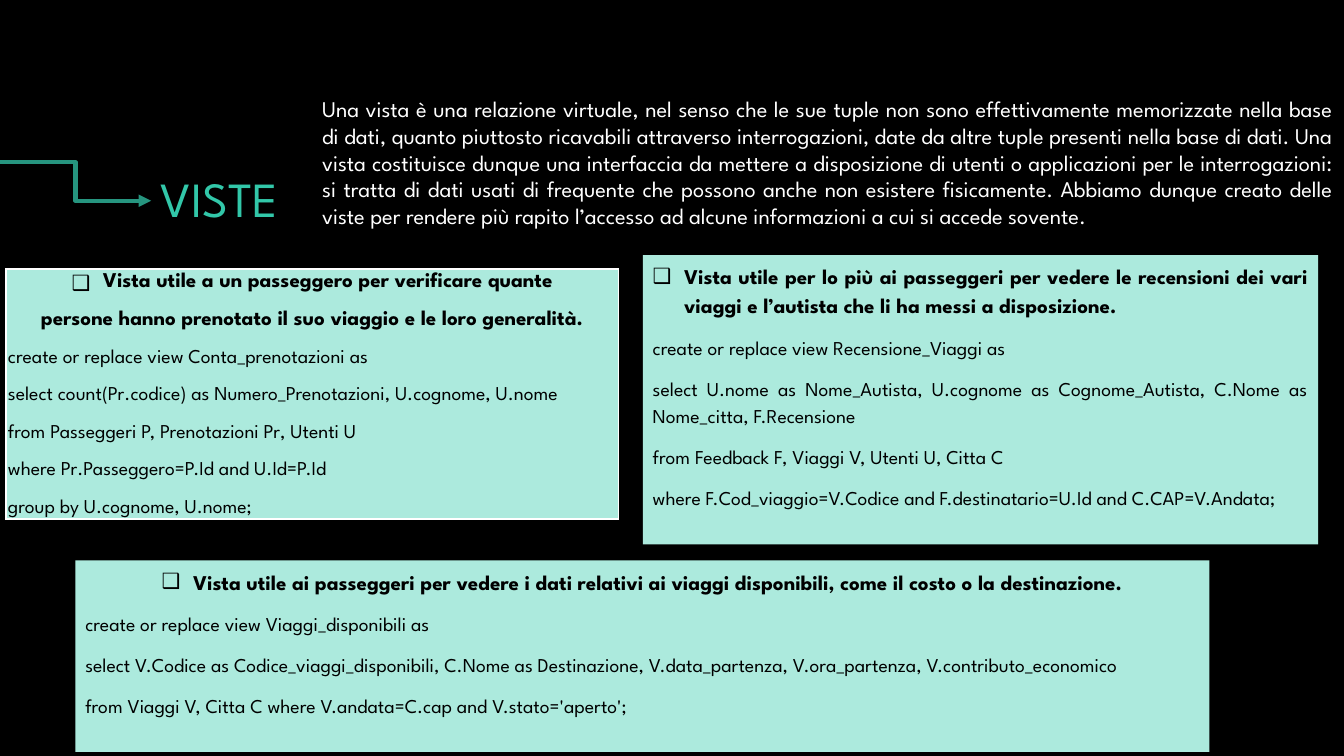
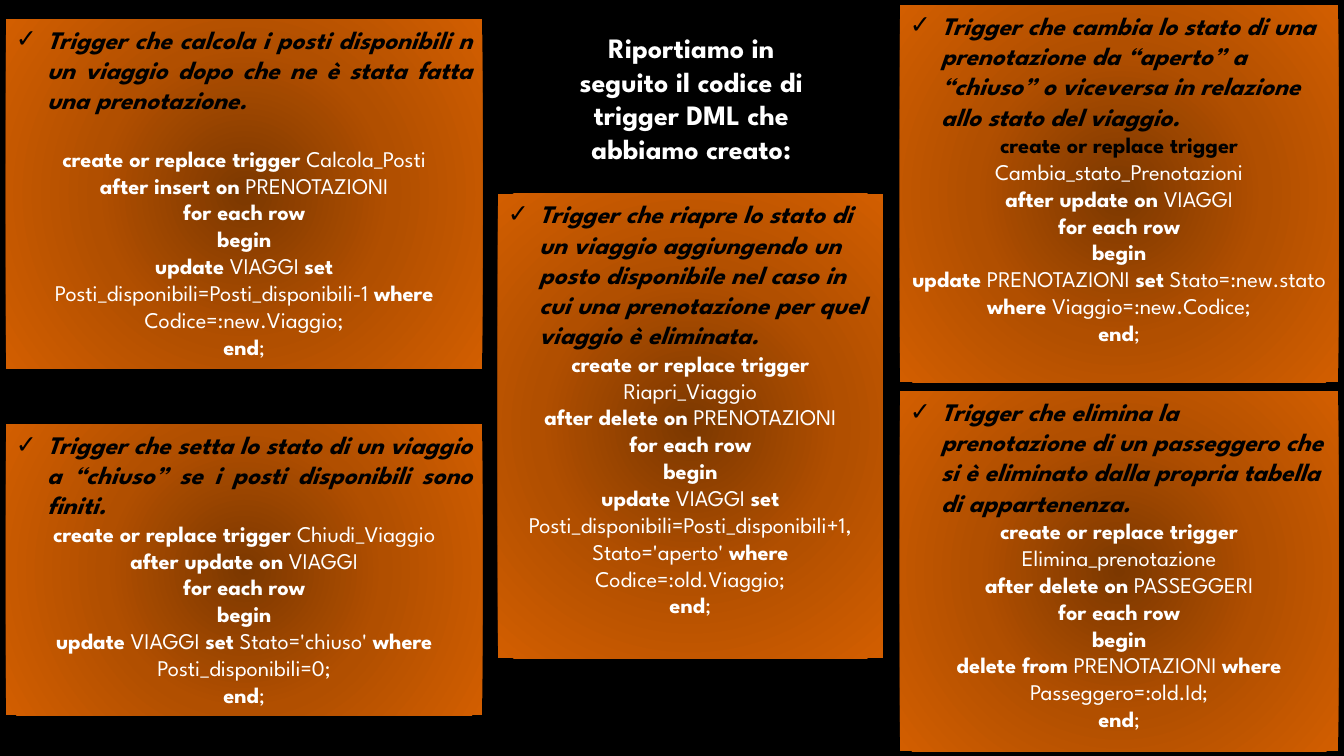
from lxml.etree import SubElement
from pptx import Presentation
from pptx.dml.color import RGBColor
from pptx.enum.shapes import MSO_CONNECTOR as Connector, MSO_SHAPE as Shape
from pptx.enum.text import MSO_ANCHOR as Anchor, PP_ALIGN as Align
from pptx.oxml import parse_xml
from pptx.oxml.ns import nsdecls, qn
from pptx.util import Cm, Pt

COLOURS = {
    "background": "000000", "dark": "000000", "light": "FFFFFF",
    "mint": "ACEADD", "arrow": "26957F",
    "title": ["196354", "32C7A9", "82E0CD"],
    "trigger": ["7C3800", "B14F00", "D25E00"],
}
FONT = "League Spartan"
INDENT = Cm(0.79)
TITLE = {"size": Pt(35.1)}
BODY = {"size": Pt(16)}
VIEW_HEADING = {"size": Pt(15), "bold": True}
VIEW_CODE = {"size": Pt(14), "bold": False}
TRIGGER_HEADING = {"size": Pt(18), "bold": True, "italic": True}
INTRO = {"size": Pt(20), "bold": True}
VIEW_SPACING = {"line_spacing": 1.15, "space_after": Pt(10)}
TABLE_SPACING = {"line_spacing": Pt(16.8), "space_after": Pt(10)}


def colour(name):
    return RGBColor.from_string(COLOURS[name])


def apply(target, formats):
    for name, value in formats.items():
        setattr(target, name, value)


def gradient(fill, parent, name, direction):
    """Give a shape or a run a three-stop gradient."""
    fill.gradient()
    stops = "".join(
        f'<a:gs pos="{place}"><a:srgbClr val="{value}"/></a:gs>'
        for place, value in zip((0, 50000, 100000), COLOURS[name]))
    parent.replace(parent.find(qn("a:gradFill")), parse_xml(
        f'<a:gradFill {nsdecls("a")} rotWithShape="1">'
        f'<a:gsLst>{stops}</a:gsLst>{direction}</a:gradFill>'))


def add_run(paragraph, text, formats, ink="dark"):
    run = paragraph.add_run()
    run.text = text
    apply(run.font, {"name": FONT, **formats})
    run.font.color.rgb = colour(ink)
    return run


def add_paragraph(frame, **formats):
    first = frame.paragraphs[0]
    paragraph = frame.add_paragraph() if first.runs else first
    apply(paragraph, formats)
    return paragraph


def add_heading(frame, text, bullet, font, **formats):
    paragraph = add_paragraph(frame, **formats)
    properties = paragraph._p.get_or_add_pPr()
    properties.set("marL", str(INDENT))
    properties.set("indent", str(-INDENT))
    SubElement(properties, qn("a:buFont")).set("typeface", "Arial")
    SubElement(properties, qn("a:buChar")).set("char", bullet)
    add_run(paragraph, text, font)


def add_text(slide, box, anchor=Anchor.TOP):
    frame = slide.shapes.add_textbox(*map(Cm, box)).text_frame
    apply(frame, {"word_wrap": True, "vertical_anchor": anchor})
    return frame


def add_panel(slide, box):
    panel = slide.shapes.add_shape(Shape.RECTANGLE, *map(Cm, box))
    panel.shadow.inherit = False
    panel.line.fill.background()
    apply(panel.text_frame, {"word_wrap": True, "vertical_anchor": Anchor.TOP})
    return panel


def add_slide(presentation):
    slide = presentation.slides.add_slide(presentation.slide_layouts[6])
    slide.background.fill.solid()
    slide.background.fill.fore_color.rgb = colour("background")
    return slide


def add_title(slide, box, text):
    left, top, width, height = box
    # Title
    paragraph = add_paragraph(add_text(slide, box, Anchor.MIDDLE),
                              alignment=Align.RIGHT, line_spacing=0.9)
    run = add_run(paragraph, text, TITLE)
    gradient(run.font.fill, run._r.get_or_add_rPr(), "title",
             '<a:lin ang="5400000" scaled="0"/>')
    # Arrow leading to the title
    start, end = top + 0.81, top + 1.78
    arrow = slide.shapes.add_connector(
        Connector.ELBOW, *map(Cm, (left, start, left + 3.81, end)))
    arrow.line.color.rgb = colour("arrow")
    arrow.line.width = Pt(3)
    SubElement(arrow.line._get_or_add_ln(), qn("a:tailEnd")).set("type", "triangle")
    SubElement(arrow._element.spPr, qn("a:effectLst"))


def fill_view(frame, heading, code, align, spacing):
    lines = heading.split("\n")
    add_heading(frame, lines[0], "❑", VIEW_HEADING, alignment=align, **spacing)
    for line in lines[1:]:
        add_run(add_paragraph(frame, alignment=align, **spacing), line, VIEW_HEADING)
    for line in code:
        add_run(add_paragraph(frame, alignment=Align.JUSTIFY, **spacing),
                line, VIEW_CODE)


def add_view_panel(slide, box, heading, code, align):
    panel = add_panel(slide, box)
    panel.fill.solid()
    panel.fill.fore_color.rgb = colour("mint")
    fill_view(panel.text_frame, heading, code, align, VIEW_SPACING)


def add_view_table(slide, box, heading, code):
    cell = slide.shapes.add_table(1, 1, *map(Cm, box)).table.cell(0, 0)
    apply(cell, {"margin_left": Cm(0.05), "margin_right": Cm(0.05),
                 "margin_top": 0, "margin_bottom": 0,
                 "vertical_anchor": Anchor.TOP})
    # Borders come before the fill in the cell properties
    properties = cell._tc.get_or_add_tcPr()
    for side in ("lnL", "lnR", "lnT", "lnB"):
        properties.append(parse_xml(
            f'<a:{side} {nsdecls("a")} w="12700"><a:solidFill>'
            f'<a:srgbClr val="{COLOURS["light"]}"/></a:solidFill></a:{side}>'))
    cell.fill.solid()
    cell.fill.fore_color.rgb = colour("mint")
    fill_view(cell.text_frame, heading, code, Align.CENTER, TABLE_SPACING)


def add_trigger(slide, box, heading, code, align=Align.LEFT, gap=0, opening="light"):
    """In code lines, bold and regular parts alternate at each bar."""
    panel = add_panel(slide, box)
    gradient(panel.fill, panel._element.spPr, "trigger",
             '<a:path path="circle"><a:fillToRect l="50000" t="50000" '
             'r="50000" b="50000"/></a:path>')
    frame = panel.text_frame
    add_heading(frame, heading, "✓", TRIGGER_HEADING,
                alignment=align, space_after=Pt(gap))
    for row, line in enumerate(code):
        paragraph = add_paragraph(frame, alignment=Align.CENTER)
        for part, text in enumerate(line.split("|")):
            ink = opening if row == part == 0 else "light"
            add_run(paragraph, text, {**BODY, "bold": part % 2 == 0}, ink)


def trigger_code(name, event, table, *action):
    return [f"create or replace trigger |{name}", f"{event} on| {table}",
            "for each row", "begin", *action, "end|;"]


def build_views(presentation):
    slide = add_slide(presentation)
    add_title(slide, (0, 3.28, 7.26, 3.58), "VISTE")
    # Explanation
    add_run(add_paragraph(add_text(slide, (7.87, 1.9, 25.98, 4.37), Anchor.MIDDLE),
                          alignment=Align.JUSTIFY),
            "Una vista è una relazione virtuale, nel senso che le sue tuple non sono "
            "effettivamente memorizzate nella base di dati, quanto piuttosto ricavabili "
            "attraverso interrogazioni, date da altre tuple presenti nella base di dati. "
            "Una vista costituisce dunque una interfaccia da mettere a disposizione di "
            "utenti o applicazioni per le interrogazioni: si tratta di dati usati di "
            "frequente che possono anche non esistere fisicamente. Abbiamo dunque creato "
            "delle viste per rendere più rapito l’accesso ad alcune informazioni a cui si "
            "accede sovente.", BODY, "light")
    # Views
    add_view_table(
        slide, (0.15, 6.78, 15.44, 6.3),
        "Vista utile a un passeggero per verificare quante\n"
        "persone hanno prenotato il suo viaggio e le loro generalità.",
        ["create or replace view Conta_prenotazioni as",
         "select count(Pr.codice) as Numero_Prenotazioni, U.cognome, U.nome",
         "from Passeggeri P, Prenotazioni Pr, Utenti U",
         "where Pr.Passeggero=P.Id and U.Id=P.Id",
         "group by U.cognome, U.nome;"])
    add_view_panel(
        slide, (16.2, 6.43, 17.02, 7.29),
        "Vista utile per lo più ai passeggeri per vedere le recensioni dei vari viaggi "
        "e l’autista che li ha messi a disposizione.",
        ["create or replace view Recensione_Viaggi as",
         "select U.nome as Nome_Autista, U.cognome as Cognome_Autista, "
         "C.Nome as Nome_citta, F.Recensione",
         "from Feedback F, Viaggi V, Utenti U, Citta C",
         "where F.Cod_viaggio=V.Codice and F.destinatario=U.Id and C.CAP=V.Andata;"],
        Align.JUSTIFY)
    add_view_panel(
        slide, (1.9, 14.12, 28.58, 4.83),
        "Vista utile ai passeggeri per vedere i dati relativi ai viaggi disponibili, "
        "come il costo o la destinazione.",
        ["create or replace view Viaggi_disponibili as",
         "select V.Codice as Codice_viaggi_disponibili, C.Nome as Destinazione, "
         "V.data_partenza, V.ora_partenza, V.contributo_economico",
         "from Viaggi V, Citta C where V.andata=C.cap and V.stato='aperto';"],
        Align.CENTER)


def build_triggers(presentation):
    slide = add_slide(presentation)
    # Left column
    add_trigger(
        slide, (0.15, 0.48, 12.01, 8.81),
        "Trigger che calcola i posti disponibili n un viaggio dopo che ne è stata "
        "fatta una prenotazione.",
        trigger_code("Calcola_Posti", "after insert", "PRENOTAZIONI",
                     "update| VIAGGI |set |Posti_disponibili=Posti_disponibili-1 "
                     "|where| Codice=:new.Viaggio;"),
        Align.JUSTIFY, gap=21.5)
    add_trigger(
        slide, (0.15, 10.69, 12.01, 7.34),
        "Trigger che setta lo stato di un viaggio a “chiuso” se i posti disponibili "
        "sono finiti.",
        trigger_code("Chiudi_Viaggio", "after update", "VIAGGI",
                     "update| VIAGGI |set| Stato='chiuso' |where |Posti_disponibili=0;"),
        Align.JUSTIFY)
    # Right column
    add_trigger(
        slide, (22.68, 0.13, 11.05, 9.5),
        "Trigger che cambia lo stato di una prenotazione da “aperto” a “chiuso” o "
        "viceversa in relazione allo stato del viaggio.",
        trigger_code("Cambia_stato_Prenotazioni", "after update", "VIAGGI",
                     "update| PRENOTAZIONI |set| Stato=:new.stato "
                     "|where| Viaggio=:new.Codice;"),
        opening="dark")
    add_trigger(
        slide, (22.68, 9.86, 11.05, 9.07),
        "Trigger che elimina la prenotazione di un passeggero che si è eliminato dalla "
        "propria tabella di appartenenza.",
        trigger_code("Elimina_prenotazione", "after delete", "PASSEGGERI",
                     "delete from| PRENOTAZIONI |where| Passeggero=:old.Id;"))
    # Middle column
    add_trigger(
        slide, (12.55, 4.88, 9.7, 11.71),
        "Trigger che riapre lo stato di un viaggio aggiungendo un posto disponibile nel "
        "caso in cui una prenotazione per quel viaggio è eliminata.",
        trigger_code("Riapri_Viaggio", "after delete", "PRENOTAZIONI",
                     "update| VIAGGI |set |Posti_disponibili=Posti_disponibili+1, "
                     "Stato='aperto' |where| Codice=:old.Viaggio;"))
    add_run(add_paragraph(add_text(slide, (13.97, 0.65, 6.91, 4.45)),
                          alignment=Align.CENTER),
            "Riportiamo in seguito il codice di trigger DML che abbiamo creato:",
            INTRO, "light")


def main():
    presentation = Presentation()
    apply(presentation, {"slide_width": Cm(33.87), "slide_height": Cm(19.05)})
    build_views(presentation)
    build_triggers(presentation)
    presentation.save("out.pptx")


if __name__ == "__main__":
    main()
